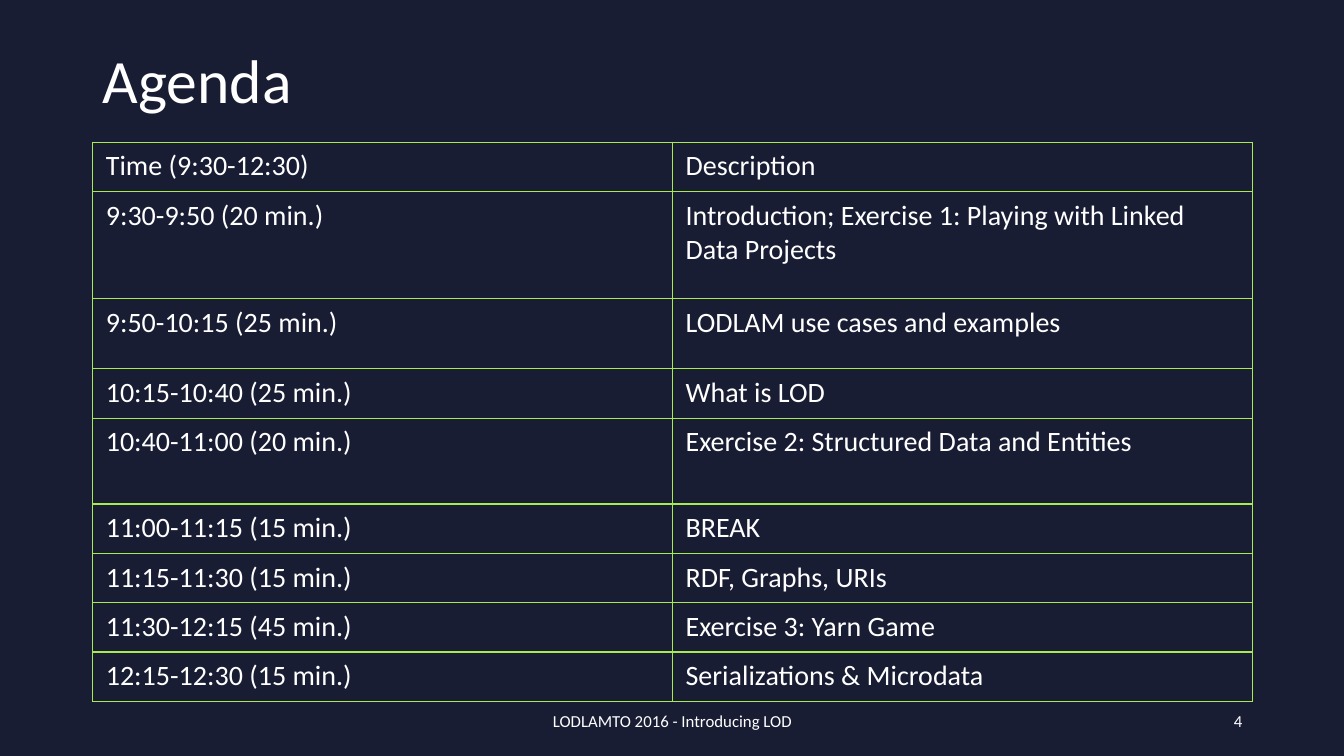
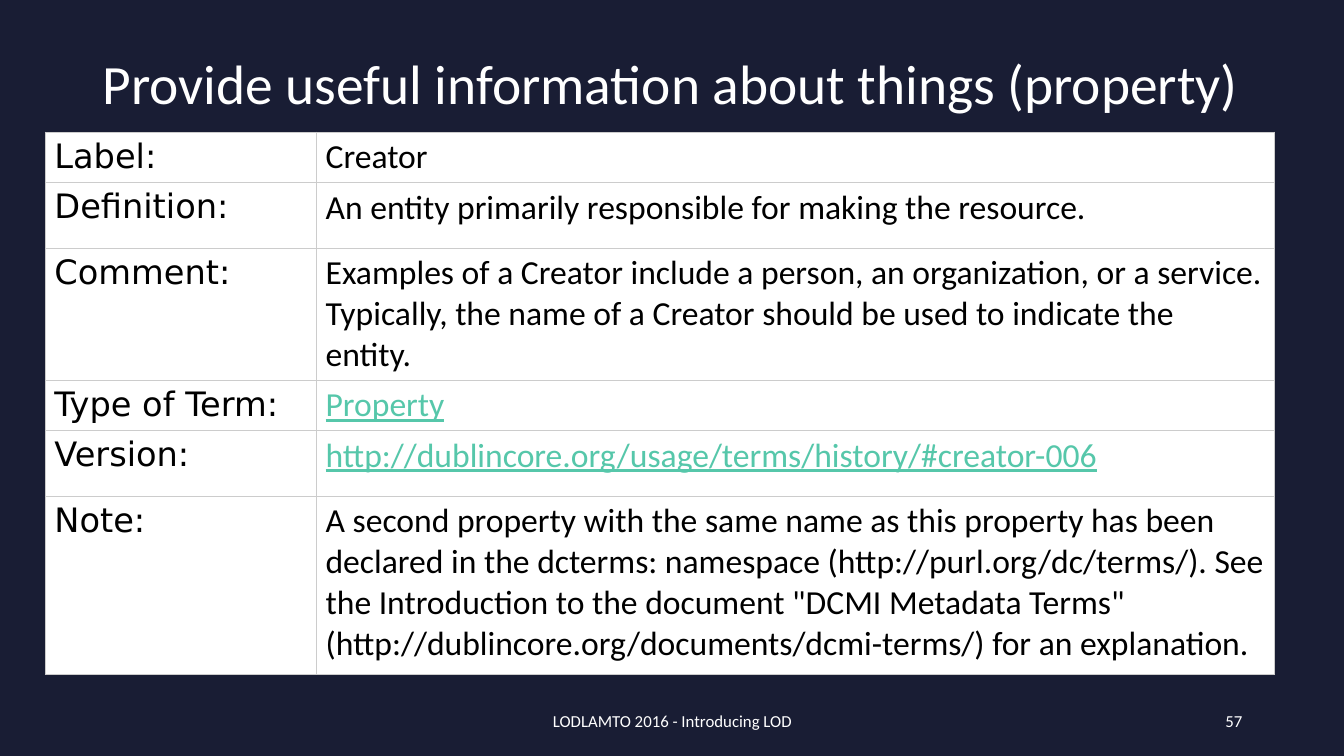
from dataclasses import dataclass

from lxml.etree import SubElement
from pptx import Presentation
from pptx.dml.color import RGBColor
from pptx.enum.text import MSO_ANCHOR, PP_ALIGN
from pptx.oxml.ns import qn
from pptx.util import Inches, Pt


@dataclass(frozen=True)
class Theme:
    background: str = "191D34"
    light: str = "FFFFFF"
    dark: str = "000000"
    link: str = "56C7AA"
    agenda_line: str = "A7EA52"
    record_line: str = "CCCCCC"
    font: str = "Calibri"
    label_font: str = "DejaVu Sans"
    title_size: float = 44
    long_title_size: float = 39.6
    agenda_size: float = 20
    record_size: float = 24
    footer_size: float = 12


THEME = Theme()
FOOTER = "LODLAMTO 2016 - Introducing LOD"

# Row height in inches, time, description
AGENDA = [
    (0.49, "Time (9:30-12:30)", "Description"),
    (1.06, "9:30-9:50 (20 min.)",
     "Introduction; Exercise 1: Playing with Linked Data Projects"),
    (0.7, "9:50-10:15 (25 min.)", "LODLAM use cases and examples"),
    (0.49, "10:15-10:40 (25 min.)", "What is LOD"),
    (0.85, "10:40-11:00 (20 min.)", "Exercise 2: Structured Data and Entities"),
    (0.49, "11:00-11:15 (15 min.)", "BREAK"),
    (0.49, "11:15-11:30 (15 min.)", "RDF, Graphs, URIs"),
    (0.49, "11:30-12:15 (45 min.)", "Exercise 3: Yarn Game"),
    (0.49, "12:15-12:30 (15 min.)", "Serializations & Microdata"),
]

# Row height in inches, label, value
PROPERTY_RECORD = [
    (0.5, "Label:", "Creator"),
    (0.65, "Definition:", "An entity primarily responsible for making the resource."),
    (1.31, "Comment:",
     "Examples of a Creator include a person, an organization, or a service. "
     "Typically, the name of a Creator should be used to indicate the entity."),
    (0.5, "Type of Term:", "Property"),
    (0.65, "Version:", "http://dublincore.org/usage/terms/history/#creator-006"),
    (1.77, "Note:",
     "A second property with the same name as this property has been declared in "
     "the dcterms: namespace (http://purl.org/dc/terms/). See the Introduction to "
     'the document "DCMI Metadata Terms" '
     "(http://dublincore.org/documents/dcmi-terms/) for an explanation."),
]
LINKED_LABELS = {"Type of Term:", "Version:"}


def add_run(paragraph, text, size, color, font=THEME.font, underline=None):
    run = paragraph.add_run()
    run.text = text
    run.font.size = Pt(size)
    run.font.name = font
    run.font.color.rgb = RGBColor.from_string(color)
    run.font.underline = underline


def add_text(slide, box, text, size, align=PP_ALIGN.LEFT, line_spacing=None):
    shape = slide.shapes.add_textbox(*map(Inches, box))
    frame = shape.text_frame
    frame.word_wrap = True
    frame.vertical_anchor = MSO_ANCHOR.MIDDLE
    paragraph = frame.paragraphs[0]
    paragraph.alignment = align
    paragraph.line_spacing = line_spacing
    add_run(paragraph, text, size, THEME.light)


def add_slide(presentation, title, title_size, title_height, number):
    """Background, title, footer and slide number shared by every slide."""
    slide = presentation.slides.add_slide(presentation.slide_layouts[6])
    slide.background.fill.solid()
    slide.background.fill.fore_color.rgb = RGBColor.from_string(THEME.background)
    add_text(slide, (0.92, 0.4, 11.5, title_height), title, title_size,
             line_spacing=0.9)
    add_text(slide, (4.42, 6.95, 4.5, 0.4), FOOTER, THEME.footer_size,
             PP_ALIGN.CENTER)
    add_text(slide, (9.42, 6.95, 3, 0.4), str(number), THEME.footer_size,
             PP_ALIGN.RIGHT)
    return slide


def set_borders(cell, color, width):
    properties = cell._tc.get_or_add_tcPr()
    for position, side in enumerate(("lnL", "lnR", "lnT", "lnB")):
        line = SubElement(properties, qn(f"a:{side}"), w=str(Pt(width)))
        fill = SubElement(line, qn("a:solidFill"))
        SubElement(fill, qn("a:srgbClr"), val=color)
        properties.insert(position, line)


def add_grid(slide, left, top, widths, heights, margins, line, fill=None):
    """Empty table with uniform borders, cell margins and fill."""
    frame = slide.shapes.add_table(
        len(heights), len(widths), Inches(left), Inches(top),
        Inches(sum(widths)), Inches(sum(heights)))
    table = frame.table
    table.first_row = table.horz_banding = False
    for column, width in zip(table.columns, widths):
        column.width = Inches(width)
    for row, height in zip(table.rows, heights):
        row.height = Inches(height)
    side_margin, end_margin = map(Inches, margins)
    for cell in table.iter_cells():
        cell.margin_left = cell.margin_right = side_margin
        cell.margin_top = cell.margin_bottom = end_margin
        if fill:
            cell.fill.solid()
            cell.fill.fore_color.rgb = RGBColor.from_string(fill)
        else:
            cell.fill.background()
        set_borders(cell, *line)
    return table


def cell_paragraph(table, row, column):
    return table.cell(row, column).text_frame.paragraphs[0]


def add_agenda(slide):
    table = add_grid(slide, 0.92, 1.41, (5.75, 5.75), [row[0] for row in AGENDA],
                     (0.13, 0.07), (THEME.agenda_line, 1))
    for row, (_, *texts) in enumerate(AGENDA):
        for column, text in enumerate(texts):
            add_run(cell_paragraph(table, row, column), text,
                    THEME.agenda_size, THEME.light)


def add_property_record(slide):
    table = add_grid(slide, 0.45, 1.31, (2.69, 9.5),
                     [row[0] for row in PROPERTY_RECORD], (0.09, 0.05),
                     (THEME.record_line, 0.75), THEME.light)
    for row, (_, label, value) in enumerate(PROPERTY_RECORD):
        linked = label in LINKED_LABELS
        add_run(cell_paragraph(table, row, 0), label, THEME.record_size,
                THEME.dark, THEME.label_font)
        add_run(cell_paragraph(table, row, 1), value, THEME.record_size,
                THEME.link if linked else THEME.dark, underline=linked)


def main():
    presentation = Presentation()
    presentation.slide_width = Inches(13.33)
    presentation.slide_height = Inches(7.5)

    # Agenda
    add_agenda(add_slide(presentation, "Agenda", THEME.title_size, 0.86, 4))

    # Property description
    add_property_record(add_slide(
        presentation, "Provide useful information about things (property)",
        THEME.long_title_size, 0.91, 57))

    presentation.save("out.pptx")


if __name__ == "__main__":
    main()
